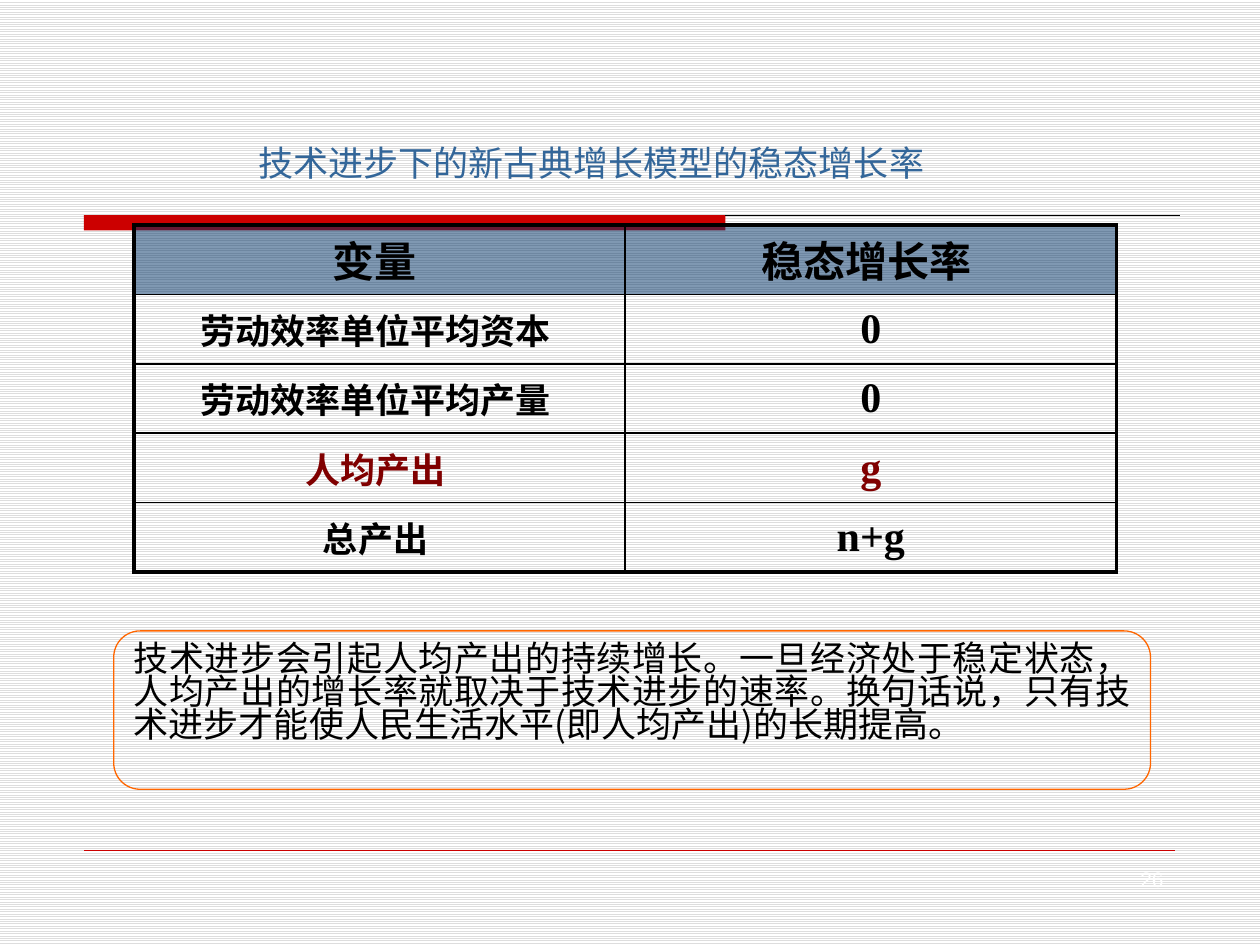
import pptx
import pptx.util
import pptx.dml.color
import pptx.enum.dml
import pptx.enum.shapes
import pptx.enum.text
import pptx.oxml
import pptx.oxml.ns

Pt = pptx.util.Pt
RGBColor = pptx.dml.color.RGBColor
Align = pptx.enum.text.PP_ALIGN
Shape = pptx.enum.shapes.MSO_SHAPE
qn = pptx.oxml.ns.qn

BLACK = RGBColor(0x00, 0x00, 0x00)
WHITE = RGBColor(0xFF, 0xFF, 0xFF)
GRAY = RGBColor(0xDD, 0xDD, 0xDD)
RED = RGBColor(0xCC, 0x00, 0x00)
MAROON = RGBColor(0x80, 0x00, 0x00)
NAVY = RGBColor(0x00, 0x33, 0x66)
BLUE = RGBColor(0x33, 0x66, 0x99)
ORANGE = RGBColor(0xFF, 0x66, 0x00)
HAN = "Noto Sans CJK SC"
ROMAN = "Times New Roman"
ARIAL = "Arial"

ROWS = [
    ("变量 ", "稳态增长率 "),
    ("劳动效率单位平均资本 ", "0"),
    ("劳动效率单位平均产量 ", "0"),
    ("人均产出 ", "g"),
    ("总产出 ", "n+g"),
]
NOTE = ("技术进步会引起人均产出的持续增长。一旦经济处于稳定状态，"
        "人均产出的增长率就取决于技术进步的速率。换句话说，"
        "只有技术进步才能使人民生活水平(即人均产出)的长期提高。")


def add_xml(parent, tag):
    return pptx.oxml.ns.qn and parent.makeelement(qn(tag), {})


def set_text(frame, text, size, face, color, align, bold=False):
    frame.text = text
    para = frame.paragraphs[0]
    para.alignment = align
    font = para.runs[0].font
    font.size, font.name, font.bold = Pt(size), face, bold
    font.color.rgb = color
    east = add_xml(font._element, "a:ea")
    east.set("typeface", HAN)
    font._element.find(qn("a:latin")).addnext(east)
    return para


def clear_pad(frame):
    frame.margin_left = frame.margin_right = 0
    frame.margin_top = frame.margin_bottom = 0


def add_line(slide, left, right, top, color, width):
    line = slide.shapes.add_connector(
        pptx.enum.shapes.MSO_CONNECTOR.STRAIGHT,
        Pt(left), Pt(top), Pt(right), Pt(top))
    line.line.color.rgb = color
    line.line.width = Pt(width)
    props = line._element.spPr
    props.append(add_xml(props, "a:effectLst"))


def add_label(slide, box, text, size, color, align):
    label = slide.shapes.add_textbox(*map(Pt, box))
    frame = label.text_frame
    frame.word_wrap = False
    clear_pad(frame)
    set_text(frame, text, size, ARIAL, color, align)


def add_frame(slide, left, top, width):
    # Red bar with a thin rule, and the rule at the foot
    bar = slide.shapes.add_shape(
        Shape.RECTANGLE, Pt(left), Pt(top), Pt(366.5), Pt(8.64))
    bar.shadow.inherit = False
    bar.fill.solid()
    bar.fill.fore_color.rgb = RED
    bar.line.fill.background()
    add_line(slide, left + 366.5, left + width, top, BLACK, 0.75)
    add_line(slide, left, left + 623.5, 486, RED, 0.25)


def set_edge(cell, widths):
    # Edges come first in the cell's properties: left, right, top, bottom
    props = cell._tc.get_or_add_tcPr()
    for place, (side, width) in enumerate(zip("LRTB", widths)):
        edge = pptx.oxml.parse_xml(
            f'<a:ln{side} {pptx.oxml.ns.nsdecls("a")} w="{Pt(width)}">'
            f'<a:solidFill><a:srgbClr val="{BLACK}"/></a:solidFill></a:ln{side}>')
        props.insert(place, edge)


def fill_head(cell):
    cell.fill.solid()
    cell.fill.fore_color.rgb = NAVY
    tint = cell._tc.tcPr.find(qn("a:solidFill"))[0]
    alpha = add_xml(tint, "a:alpha")
    alpha.set("val", "50000")
    tint.append(alpha)


def add_rates(slide, box):
    count = len(ROWS)
    table = slide.shapes.add_table(count, 2, *map(Pt, box)).table
    table.first_row = table.horz_banding = False
    for col in table.columns:
        col.width = Pt(box[2] / 2)
    for r, texts in enumerate(ROWS):
        table.rows[r].height = Pt(box[3] / count)
        for c, text in enumerate(texts):
            cell = table.cell(r, c)
            cell.margin_left = cell.margin_right = 0
            cell.margin_top = cell.margin_bottom = 0
            cell.vertical_anchor = pptx.enum.text.MSO_ANCHOR.MIDDLE
            size = 24 if r == 0 or c == 1 else 20
            face = ROMAN if r and c else HAN
            color = MAROON if r == 3 else BLACK
            set_text(cell.text_frame, text, size, face, color,
                     Align.CENTER, True)
            if r == 0:
                fill_head(cell)
            else:
                cell.fill.background()
            outer = (c == 0, c == 1, r == 0, r == count - 1)
            set_edge(cell, [2.25 if side else 1 for side in outer])


def add_note(slide, box):
    note = slide.shapes.add_shape(Shape.ROUNDED_RECTANGLE, *map(Pt, box))
    note.shadow.inherit = False
    note.fill.background()
    note.line.color.rgb = ORANGE
    note.line.width = Pt(0.75)
    frame = note.text_frame
    frame.word_wrap = True
    frame.vertical_anchor = pptx.enum.text.MSO_ANCHOR.TOP
    para = set_text(frame, NOTE, 20, HAN, BLACK, Align.JUSTIFY)
    para.line_spacing = 0.79
    para.space_before = Pt(6)


def main():
    deck = pptx.Presentation()
    deck.slide_width, deck.slide_height = Pt(720), Pt(540)
    slide = deck.slides.add_slide(deck.slide_layouts[6])

    # Striped background
    back = slide.background.fill
    back.patterned()
    back.pattern = pptx.enum.dml.MSO_PATTERN.LIGHT_HORIZONTAL
    back.fore_color.rgb = GRAY
    back.back_color.rgb = WHITE

    add_frame(slide, 48, 123, 626.5)
    add_rates(slide, (76.5, 128.5, 561.5, 198.5))
    # Title and page number
    add_label(slide, (147.5, 81, 382.5, 24),
              "技术进步下的新古典增长模型的稳态增长率", 20, BLUE, Align.LEFT)
    add_label(slide, (640, 495, 25, 15), "26", 12, WHITE, Align.RIGHT)
    add_note(slide, (65, 360.5, 592.5, 90.5))
    deck.save("out.pptx")


if __name__ == "__main__":
    main()
